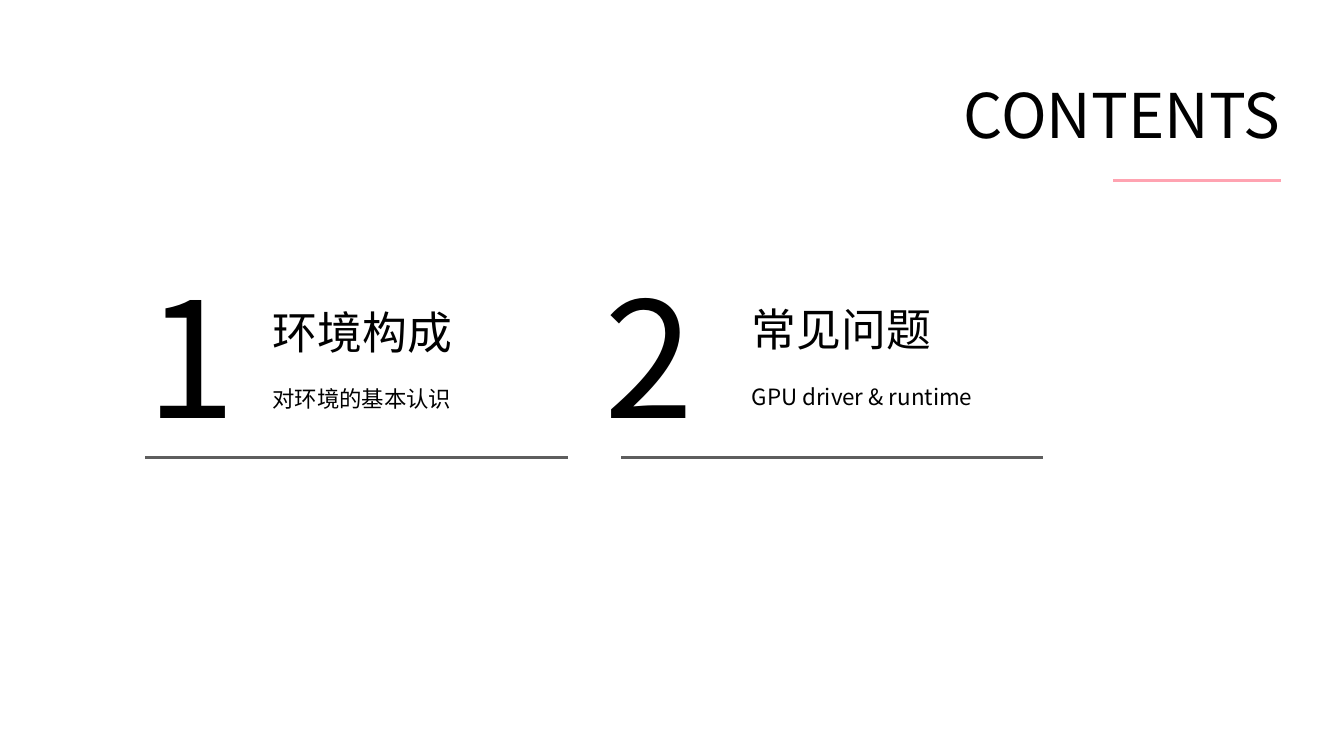
"""Build the contents slide with two numbered sections."""
from dataclasses import dataclass

from lxml import etree
from pptx import Presentation
from pptx.dml.color import RGBColor
from pptx.enum.shapes import MSO_CONNECTOR
from pptx.enum.text import MSO_AUTO_SIZE
from pptx.oxml.ns import qn
from pptx.slide import Slide
from pptx.util import Inches, Pt

STRAIGHT = MSO_CONNECTOR.STRAIGHT
FIT_SHAPE = MSO_AUTO_SIZE.SHAPE_TO_FIT_TEXT
WIDTH, HEIGHT = Inches(13.33), Inches(7.5)
FONT = "Noto Sans CJK SC"
COLORS = {"text": "000000", "rule": "5E5E5E", "accent": "FFA3B1"}
RULE_ROW, RULE_WIDTH = 60.53, 31.43


@dataclass(frozen=True)
class Label:
    """Text in a box placed in percent of the slide's size."""

    text: str
    left: float
    top: float
    width: float
    height: float
    size: int
    line_spacing: float = 1.0


@dataclass(frozen=True)
class Rule:
    """Horizontal line placed in percent of the slide's size."""

    left: float
    top: float
    width: float
    color: str


@dataclass(frozen=True)
class Section:
    """Numbered entry with its left edges and text rows in percent."""

    number: str
    title: str
    summary: str
    number_left: float
    text_left: float
    rule_left: float
    title_top: float
    summary_top: float


SECTIONS = (
    Section("1", "环境构成", "对环境的基本认识", 10.13, 19.55, 10.8, 39.7, 48.53),
    Section("2", "常见问题", "GPU driver & runtime", 44.26, 55.2, 46.21, 39.2, 48.27),
)
HEADING = Label("CONTENTS", 70.97, 9.55, 29.03, 11.2, 44)
HEADING_RULE = Rule(82.82, 23.87, 12.53, "accent")


def across(percent: float) -> int:
    """Convert a share of the slide's width to a length."""
    return round(WIDTH * percent / 100)


def down(percent: float) -> int:
    """Convert a share of the slide's height to a length."""
    return round(HEIGHT * percent / 100)


def draw_label(slide: Slide, label: Label) -> None:
    """Draw a text box with one run."""
    shape = slide.shapes.add_textbox(
        across(label.left), down(label.top), across(label.width), down(label.height)
    )
    frame = shape.text_frame
    frame.word_wrap = True
    frame.auto_size = FIT_SHAPE
    paragraph = frame.paragraphs[0]
    paragraph.line_spacing = label.line_spacing
    run = paragraph.add_run()
    run.text = label.text
    run.font.size = Pt(label.size)
    run.font.name = FONT
    run.font.color.rgb = RGBColor.from_string(COLORS["text"])
    east_asian = etree.SubElement(run.font._element, qn("a:ea"))
    east_asian.set("typeface", FONT)


def draw_rule(slide: Slide, rule: Rule) -> None:
    """Draw a horizontal line without a shadow."""
    top = down(rule.top)
    connector = slide.shapes.add_connector(
        STRAIGHT, across(rule.left), top, across(rule.left + rule.width), top
    )
    connector.line.color.rgb = RGBColor.from_string(COLORS[rule.color])
    connector.line.width = Pt(2.25)
    etree.SubElement(connector._element.spPr, qn("a:effectLst"))


def draw_section(slide: Slide, section: Section) -> None:
    """Draw a section's title, summary, number and rule."""
    labels = (
        Label(section.title, section.text_left, section.title_top, 22.43, 8.53, 32),
        Label(section.summary, section.text_left, section.summary_top, 20.18, 6.13, 16, 1.5),
        Label(section.number, section.number_left, 33.4, 10.95, 27.2, 115),
    )
    for label in labels:
        draw_label(slide, label)
    draw_rule(slide, Rule(section.rule_left, RULE_ROW, RULE_WIDTH, "rule"))


def main() -> None:
    """Create the presentation and save it."""
    presentation = Presentation()
    presentation.slide_width, presentation.slide_height = WIDTH, HEIGHT
    slide = presentation.slides.add_slide(presentation.slide_layouts[6])
    draw_label(slide, HEADING)
    for section in SECTIONS:
        draw_section(slide, section)
    draw_rule(slide, HEADING_RULE)
    presentation.save("out.pptx")


if __name__ == "__main__":
    main()
